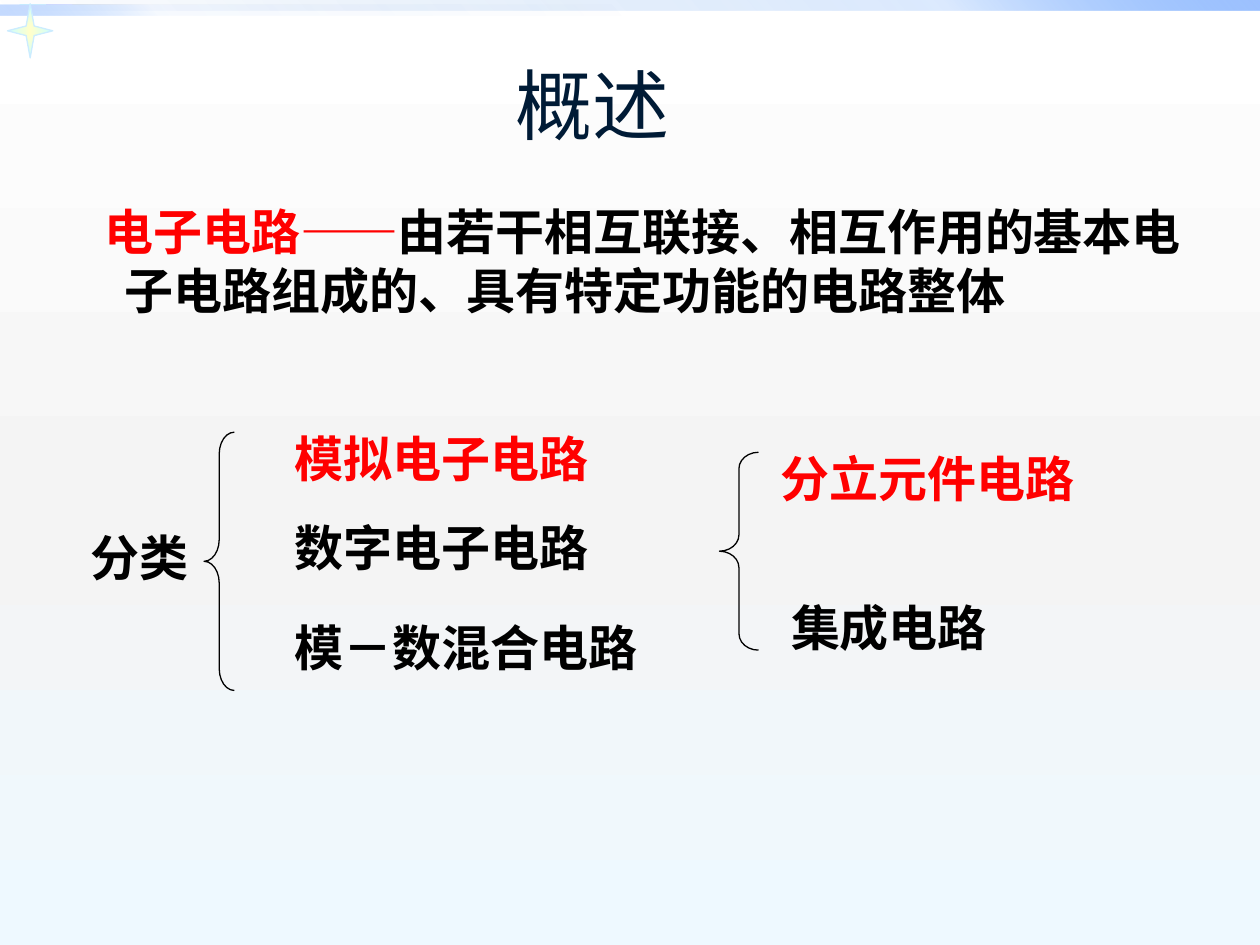
from lxml.etree import SubElement
from pptx import Presentation
from pptx.dml.color import RGBColor
from pptx.enum.shapes import MSO_SHAPE
from pptx.enum.text import MSO_ANCHOR, MSO_AUTO_SIZE, PP_ALIGN
from pptx.oxml.ns import qn
from pptx.util import Inches, Pt

BLACK, RED, NAVY = "000000", "FF0000", "001B36"


def color(value):
    return RGBColor.from_string(value)


class SlideBuilder:
    cell = Inches(0.1)
    title_font, label_font, body_font = "Lato", "Arial", "Cambria"
    title_size, text_size = Pt(44), Pt(28)

    def __init__(self, deck):
        self.page = deck.slides.add_slide(deck.slide_layouts[5])

    def grid(self, *units):
        return [round(unit * self.cell) for unit in units]

    def gradient(self, fill, holder, stops, angle=None):
        fill.solid()
        solid = holder.find(qn("a:solidFill"))
        grad = SubElement(holder, qn("a:gradFill"), rotWithShape="1")
        holder.replace(solid, grad)
        stop_list = SubElement(grad, qn("a:gsLst"))
        for position, value, alpha in stops:
            stop = SubElement(stop_list, qn("a:gs"), pos=str(position * 1000))
            tint = SubElement(stop, qn("a:srgbClr"), val=value)
            if alpha < 100:
                SubElement(tint, qn("a:alpha"), val=str(alpha * 1000))
        if angle is None:
            center = SubElement(grad, qn("a:path"), path="shape")
            SubElement(center, qn("a:fillToRect"), l="50000", t="50000", r="50000", b="50000")
        else:
            SubElement(grad, qn("a:lin"), ang=str(angle * 60000), scaled="0")

    def background(self, stops):
        fill = self.page.background.fill
        fill.solid()
        holder = self.page.element.find(".//" + qn("p:bgPr"))
        self.gradient(fill, holder, stops, 90)

    def shape(self, kind, area, line=None, width=0, adjust=()):
        shape = self.page.shapes.add_shape(kind, *self.grid(*area))
        shape.shadow.inherit = False
        for index, value in enumerate(adjust):
            shape.adjustments[index] = value
        if line:
            shape.line.color.rgb = color(line)
            shape.line.width = Pt(width)
        else:
            shape.line.fill.background()
        return shape

    def shaded(self, kind, area, stops, angle=None, **style):
        shape = self.shape(kind, area, **style)
        self.gradient(shape.fill, shape.element.spPr, stops, angle)

    def brace(self, area, curve):
        brace = self.shape(MSO_SHAPE.LEFT_BRACE, area, BLACK, 0.75, (curve, 0.5))
        brace.fill.background()

    def title(self, text, area):
        box = self.page.shapes.title
        box.left, box.top, box.width, box.height = self.grid(*area)
        box.text_frame.text = text
        box.text_frame.vertical_anchor = MSO_ANCHOR.MIDDLE
        para = box.text_frame.paragraphs[0]
        para.alignment = PP_ALIGN.CENTER
        para.font.name, para.font.size = self.title_font, self.title_size
        para.font.color.rgb = color(NAVY)

    def text(self, spans, area, font=label_font):
        box = self.page.shapes.add_textbox(*self.grid(*area))
        frame = box.text_frame
        frame.word_wrap = True
        para = frame.paragraphs[0]
        para.font.name, para.font.size, para.font.bold = font, self.text_size, True
        for words, value in spans:
            span = para.add_run()
            span.text = words
            span.font.color.rgb = color(value)
        return box

    def label(self, words, left, top, width, value=BLACK):
        box = self.text([(words, value)], (left, top, width, 5.7))
        box.text_frame.auto_size = MSO_AUTO_SIZE.SHAPE_TO_FIT_TEXT

    def definition(self, spans, area):
        box = self.text(spans, area, self.body_font)
        para = box.text_frame.paragraphs[0]
        para.space_before = Pt(5.6)
        margins = para._p.get_or_add_pPr()
        margins.set("marL", str(Inches(0.38)))
        margins.set("indent", str(Inches(-0.16)))


def main():
    deck = Presentation()
    deck.slide_width, deck.slide_height = Inches(10), Inches(7.5)
    slide = SlideBuilder(deck)

    slide.background([(0, "FFFFFF", 100), (55, "F4F4F4", 100), (100, "EEF9FF", 100)])
    for area, middle, end, angle in (
        ((0, 0, 100, 0.8), 20, 100, 315),
        ((0, 0.4, 50, 0.8), 5, 60, 135),
    ):
        stops = [(0, "0058B7", 0), (75, "4F95FF", middle), (100, "9EC2FF", end)]
        slide.shaded(MSO_SHAPE.RECTANGLE, area, stops, angle)
    slide.shaded(
        MSO_SHAPE.STAR_4_POINT, (0.6, 0.3, 3.6, 4.3),
        [(0, "FFFFCC", 100), (100, "CCFFFF", 100)], line="CCECFF", adjust=(0.125,),
    )

    slide.title("概述", (28.1, 3.9, 37.8, 8.6))
    slide.definition(
        [("电子电路——", RED),
         ("由若干相互联接、相互作用的基本电子电路组成的、具有特定功能的电路整体", BLACK)],
        (5.1, 15.5, 90, 11),
    )

    slide.label("分类", 6.2, 41.4, 10.2)
    slide.brace((16.2, 34.3, 2.4, 20.5), 0.72)
    slide.label("模拟电子电路", 22.4, 33.5, 28.4, RED)
    slide.label("数字电子电路", 22.4, 40.6, 28.4)
    slide.label("模－数混合电路", 22.4, 48.5, 30.7)
    slide.brace((57.1, 35.9, 3.1, 15.7), 0.42)
    slide.label("分立元件电路", 61, 35.1, 28.4, RED)
    slide.label("集成电路", 61.8, 46.9, 28.4)

    deck.save("out.pptx")


if __name__ == "__main__":
    main()
